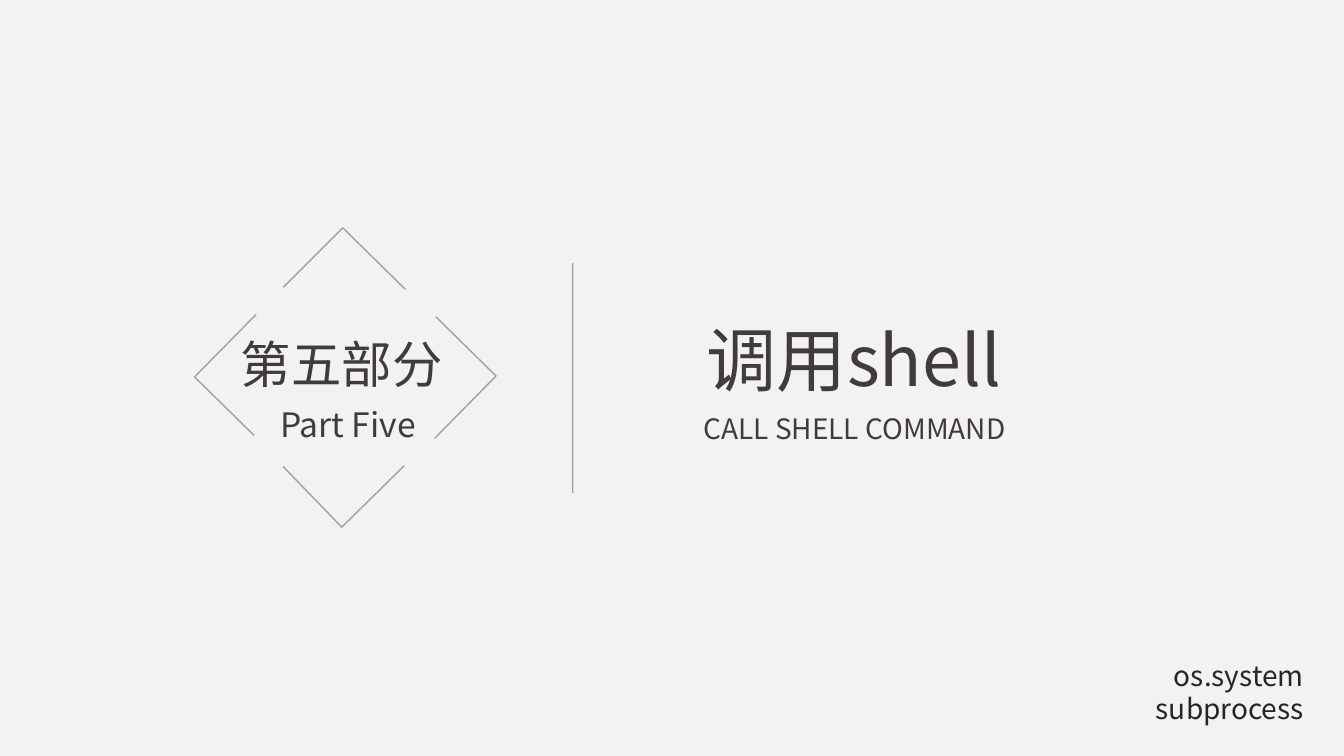
from dataclasses import dataclass

from lxml.etree import SubElement
from pptx import Presentation
from pptx.dml.color import RGBColor
from pptx.dml.line import LineFormat
from pptx.enum.text import MSO_ANCHOR, MSO_AUTO_SIZE, PP_ALIGN
from pptx.oxml.ns import qn
from pptx.slide import Slide
from pptx.text.text import TextFrame
from pptx.util import Inches, Pt

COLORS = {"back": "F2F2F2", "line": "808080", "head": "413B39", "note": "262626"}
FONT = "Noto Sans CJK SC"
OPACITY = 71


@dataclass
class Label:
    lines: list[str]
    left: float
    top: float
    width: float
    height: float
    size: int
    color: str = "head"
    align: PP_ALIGN = PP_ALIGN.CENTER


TITLE = Label(["调用shell"], 6.25, 3.09, 4.44, 0.94, 50)
LABELS = [
    Label(["第五部分"], 2.26, 3.26, 2.26, 0.71, 36),
    Label(["Part Five"], 2.1, 3.96, 2.7, 0.5, 24),
    Label(["CALL SHELL COMMAND"], 6.38, 4.03, 4.19, 0.44, 20),
    Label(["os.system", "subprocess"], 11.22, 6.48, 1.81, 0.77, 20, "note", PP_ALIGN.RIGHT),
]

# Open corners of the diamond: top, left, right, bottom
CORNERS = [
    [(2.81, 2.85), (3.4, 2.26), (4.02, 2.87)],
    [(2.52, 4.32), (1.93, 3.74), (2.54, 3.12)],
    [(4.32, 3.14), (4.92, 3.73), (4.31, 4.35)],
    [(2.81, 4.63), (3.39, 5.23), (4.01, 4.62)],
]


def color(name: str) -> RGBColor:
    return RGBColor.from_string(COLORS[name])


def style_line(line: LineFormat) -> None:
    line.width = Pt(1)
    line.fill.solid()
    line.fill.fore_color.rgb = color("line")
    rgb = line.fill._xPr.find(qn("a:solidFill"))[0]
    SubElement(rgb, qn("a:alpha")).set("val", str(OPACITY * 1000))


def draw_corner(slide: Slide, points: list[tuple[float, float]]) -> None:
    start, *rest = [(Inches(x), Inches(y)) for x, y in points]
    pen = slide.shapes.build_freeform(*start)
    pen.add_line_segments(rest, close=False)
    shape = pen.convert_to_shape()
    shape.shadow.inherit = False
    shape.fill.background()
    style_line(shape.line)


def draw_rule(slide: Slide, x: float, top: float, end: float) -> None:
    rule = slide.shapes.add_connector(1, Inches(x), Inches(top), Inches(x), Inches(end))
    style_line(rule.line)
    SubElement(rule._element.spPr, qn("a:effectLst"))


def write(frame: TextFrame, label: Label) -> None:
    frame.word_wrap = True
    frame.auto_size = MSO_AUTO_SIZE.NONE
    frame.vertical_anchor = MSO_ANCHOR.TOP
    for i, text in enumerate(label.lines):
        para = frame.add_paragraph() if i else frame.paragraphs[0]
        para.alignment = label.align
        run = para.add_run()
        run.text = text
        run.font.size = Pt(label.size)
        run.font.name = FONT
        run.font.color.rgb = color(label.color)
        SubElement(run.font._element, qn("a:ea")).set("typeface", FONT)


def place(label: Label) -> list[int]:
    return [Inches(n) for n in (label.left, label.top, label.width, label.height)]


def main() -> None:
    deck = Presentation()
    deck.slide_width, deck.slide_height = Inches(13.33), Inches(7.5)
    slide = deck.slides.add_slide(deck.slide_layouts[5])
    slide.background.fill.solid()
    slide.background.fill.fore_color.rgb = color("back")

    for points in CORNERS:
        draw_corner(slide, points)
    draw_rule(slide, 5.68, 2.61, 4.89)

    title = slide.shapes.title
    title.left, title.top, title.width, title.height = place(TITLE)
    write(title.text_frame, TITLE)
    for label in LABELS:
        write(slide.shapes.add_textbox(*place(label)).text_frame, label)
    deck.save("out.pptx")


if __name__ == "__main__":
    main()
